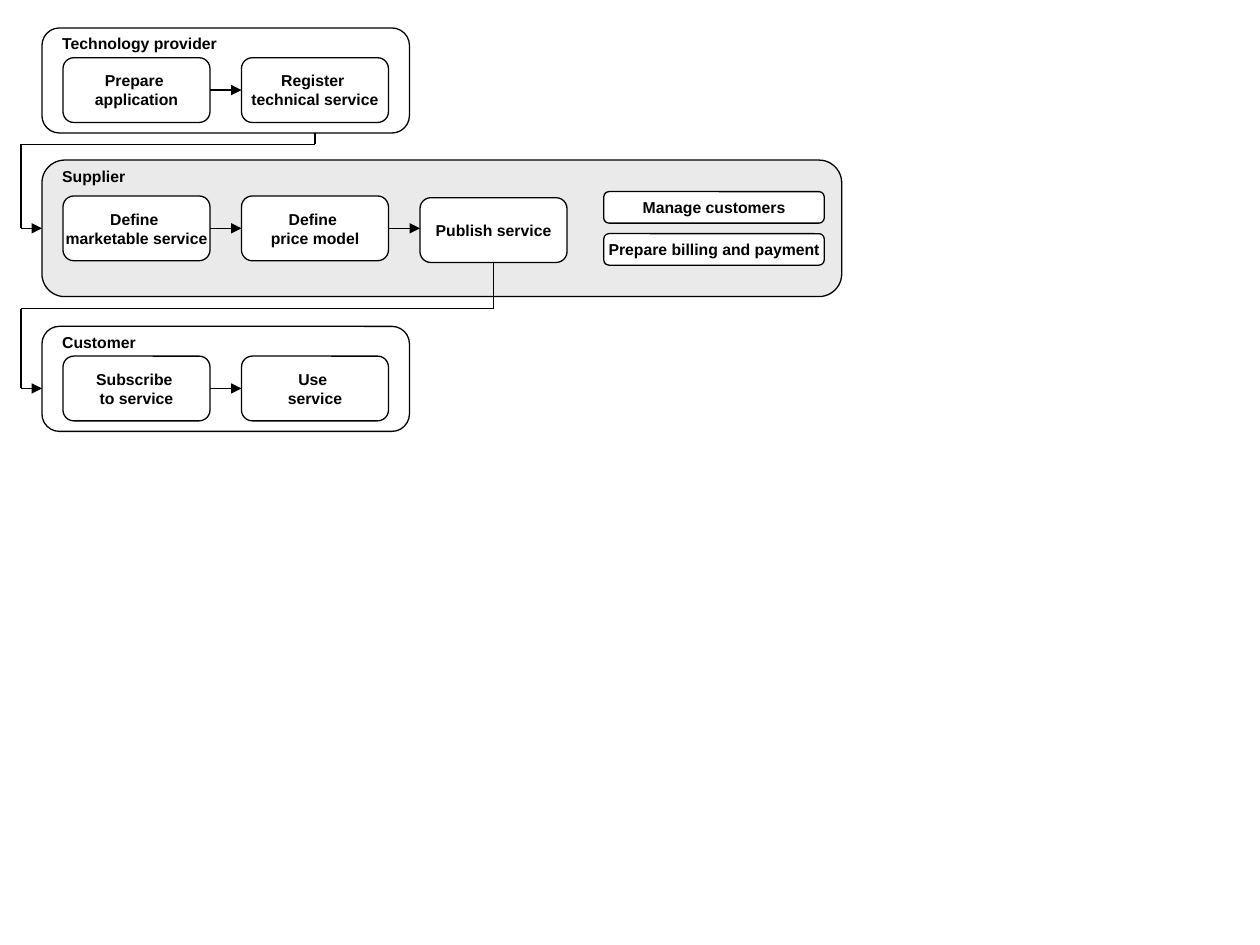
from itertools import pairwise

from lxml import etree
from pptx import Presentation
from pptx.dml.color import RGBColor
from pptx.enum.shapes import MSO_CONNECTOR, MSO_SHAPE
from pptx.enum.text import MSO_ANCHOR, PP_ALIGN
from pptx.oxml.ns import qn
from pptx.util import Pt

ROUNDED = MSO_SHAPE.ROUNDED_RECTANGLE
STRAIGHT = MSO_CONNECTOR.STRAIGHT
MIDDLE = MSO_ANCHOR.MIDDLE
CENTER = PP_ALIGN.CENTER
BOTTOM_SIDE, LEFT_SIDE, RIGHT_SIDE = 2, 1, 3

BLACK, WHITE, GREY = "000000", "FFFFFF", "EAEAEA"
LANE_LEFT = 24
STEP_WIDTH, STEP_HEIGHT, STEP_PITCH = 84, 37, 102
RETURN_X = 12


def color(value):
    return RGBColor.from_string(value)


def style_text(frame):
    frame.word_wrap = False
    for para in frame.paragraphs:
        para.font.name = "Arial"
        para.font.size = Pt(9)
        para.font.bold = True
        para.font.color.rgb = color(BLACK)


def add_box(page, left, top, width, height, text="", fill=WHITE):
    box = page.shapes.add_shape(ROUNDED, Pt(left), Pt(top), Pt(width), Pt(height))
    box.shadow.inherit = False
    box.fill.solid()
    box.fill.fore_color.rgb = color(fill)
    box.line.color.rgb = color(BLACK)
    box.line.width = Pt(0.75)
    if text:
        frame = box.text_frame
        frame.text = text
        frame.vertical_anchor = MIDDLE
        style_text(frame)
        for para in frame.paragraphs:
            para.alignment = CENTER
    return box


def add_line(page, start, end, arrow=False):
    line = page.shapes.add_connector(STRAIGHT, *map(Pt, (*start, *end)))
    line.line.color.rgb = color(BLACK)
    line.line.width = Pt(0.75)
    if arrow:
        etree.SubElement(line.line._get_or_add_ln(), qn("a:tailEnd"), type="triangle")
    etree.SubElement(line._element.spPr, qn("a:effectLst"))
    return line


def add_lane(page, title, top, width, height, fill=WHITE):
    lane = add_box(page, LANE_LEFT, top, width, height, fill=fill)
    label = page.shapes.add_textbox(Pt(LANE_LEFT + 4.5), Pt(top), Pt(103), Pt(18))
    label.text_frame.text = title
    style_text(label.text_frame)
    return lane


def add_steps(page, top, labels, last_drop=0):
    """Place a row of steps joined by arrows; last_drop lowers the final step."""
    steps = []
    for index, text in enumerate(labels):
        left = LANE_LEFT + 12 + index * STEP_PITCH
        drop = last_drop if index == len(labels) - 1 else 0
        steps.append(add_box(page, left, top + drop, STEP_WIDTH, STEP_HEIGHT, text))
        if index:
            middle = top + STEP_HEIGHT / 2
            arrow = add_line(page, (left - STEP_PITCH + STEP_WIDTH, middle),
                             (left, middle), arrow=True)
            arrow.begin_connect(steps[-2], RIGHT_SIDE)
            if not drop:
                arrow.end_connect(steps[-1], LEFT_SIDE)
    return steps


def add_handoff(page, start, turn_y, end_y):
    """Lead from start down to turn_y, back to the left edge and into the next lane."""
    corners = [start, (start[0], turn_y), (RETURN_X, turn_y),
               (RETURN_X, end_y), (LANE_LEFT, end_y)]
    legs = list(pairwise(corners))
    return [add_line(page, *leg, arrow=leg is legs[-1]) for leg in legs]


def main():
    deck = Presentation()
    deck.slide_width, deck.slide_height = Pt(720), Pt(540)
    page = deck.slides.add_slide(deck.slide_layouts[6])

    add_lane(page, "Technology provider", 16, 210, 60)
    add_steps(page, 33, ["Prepare \napplication", "Register \ntechnical service"])

    supplier = add_lane(page, "Supplier", 91.5, 457, 78, GREY)
    supplier_steps = add_steps(
        page, 112,
        ["Define \vmarketable service", "Define \nprice model", "Publish service"],
        last_drop=1)
    for index, text in enumerate(["Manage customers", "Prepare billing and payment"]):
        add_box(page, 345, 109.5 + index * 24, 126, 18, text)

    add_lane(page, "Customer", 186.5, 210, 60)
    add_steps(page, 203.5, ["Subscribe \nto service", "Use \nservice"])

    to_supplier = add_handoff(page, (180, 76), 82.5, 130.5)
    to_supplier[-1].end_connect(supplier, LEFT_SIDE)
    to_customer = add_handoff(page, (282, 150), 176.5, 222)
    to_customer[0].begin_connect(supplier_steps[-1], BOTTOM_SIDE)

    deck.save("out.pptx")


if __name__ == "__main__":
    main()
